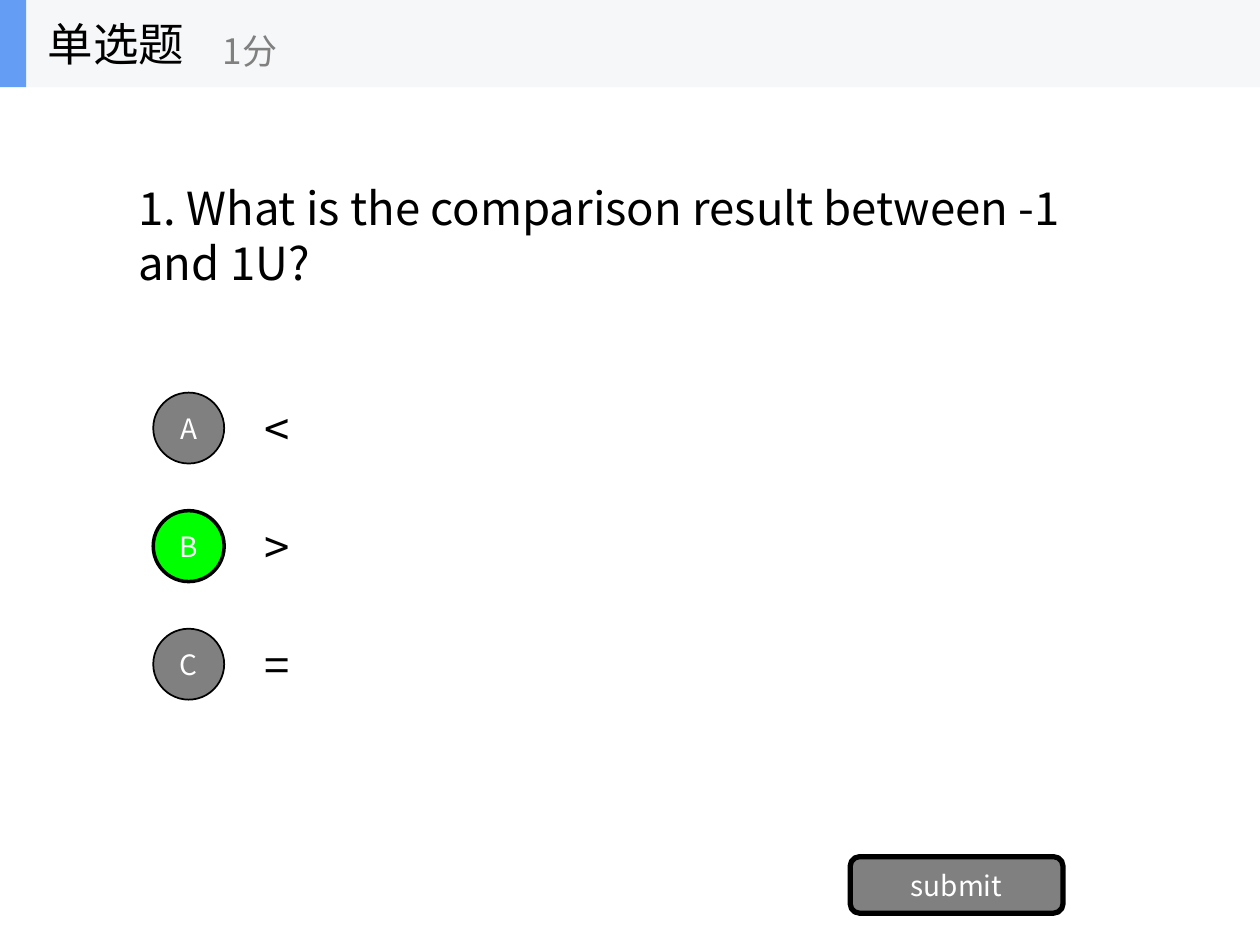
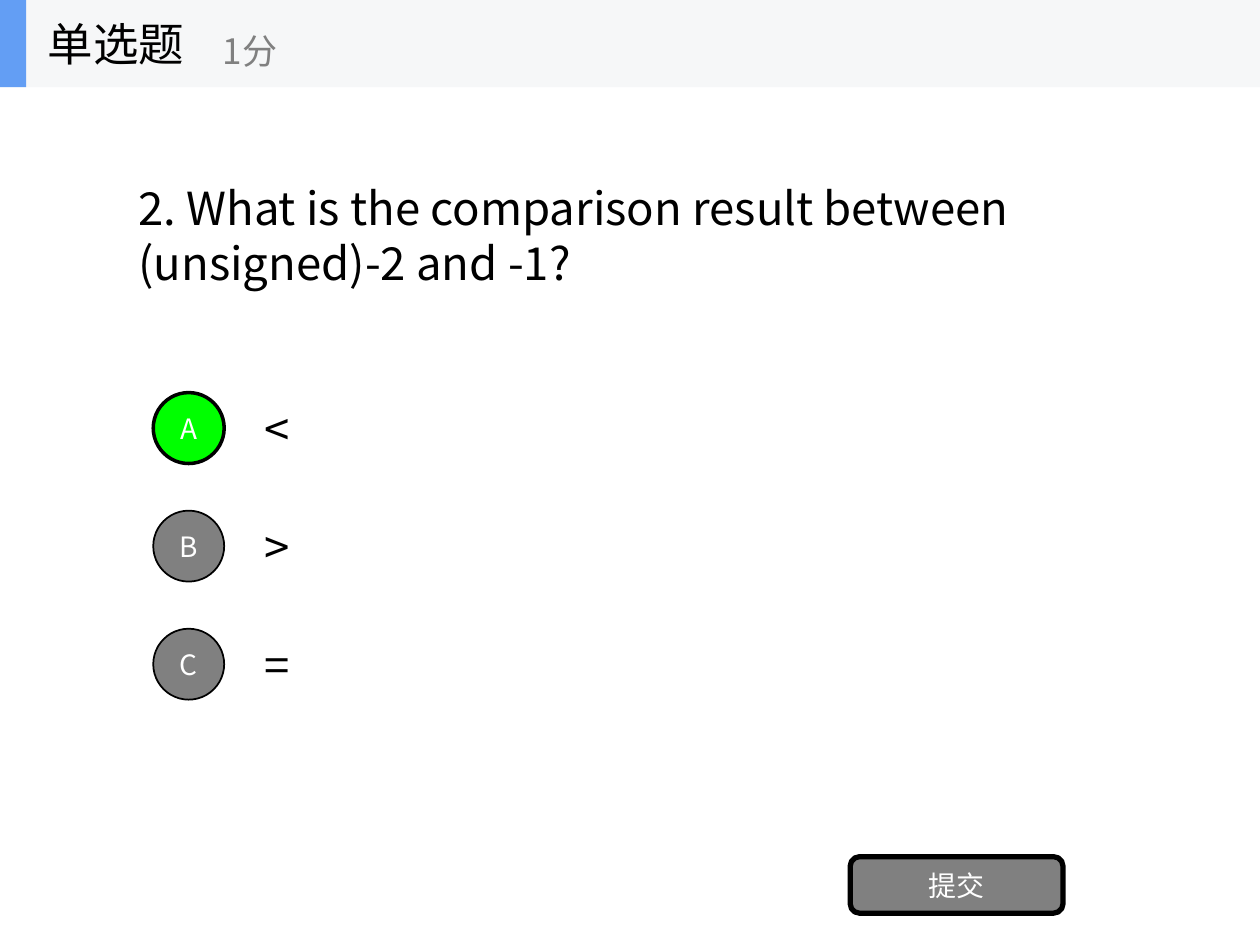
from pptx import Presentation
from pptx.dml.color import RGBColor
from pptx.enum.shapes import MSO_SHAPE as SHAPE
from pptx.enum.text import MSO_ANCHOR as ANCHOR, PP_ALIGN as ALIGN
from pptx.oxml.ns import qn
from pptx.util import Cm, Pt

FONT = "Noto Sans CJK SC"
BLACK = RGBColor(0x00, 0x00, 0x00)
WHITE = RGBColor(0xFF, 0xFF, 0xFF)
GRAY = RGBColor(0x80, 0x80, 0x80)
GREEN = RGBColor(0x00, 0xFF, 0x00)
BAND = RGBColor(0xF6, 0xF7, 0xF8)
BLUE = RGBColor(0x63, 0x9E, 0xF4)

SLIDE_WIDTH = 25.4
BAND_HEIGHT = 1.76
FIRST_ROW, ROW_STEP, ROW_HEIGHT = 7.74, 2.38, 1.78
CIRCLE = 1.43

# Question, choices, correct letter, button label
QUESTIONS = [
    ("1. What is the comparison result between -1 and 1U?", "<>=", "B", "submit"),
    ("2. What is the comparison result between (unsigned)-2 and -1?", "<>=", "A", "提交"),
]


def write(holder, text, size=26, color=BLACK, align=ALIGN.LEFT):
    frame = holder.text_frame
    frame.word_wrap = True
    frame.vertical_anchor = ANCHOR.MIDDLE
    paragraph = frame.paragraphs[0]
    paragraph.alignment = align
    run = paragraph.add_run()
    run.text = text
    run.font.name = FONT
    run.font.size = Pt(size)
    run.font.color.rgb = color
    east_asian = run.font._element.makeelement(qn("a:ea"), {"typeface": FONT})
    run.font._element.find(qn("a:latin")).addnext(east_asian)


def draw(shapes, kind, box, fill, line_width=0):
    shape = shapes.add_shape(kind, *map(Cm, box))
    shape.shadow.inherit = False
    shape.fill.solid()
    shape.fill.fore_color.rgb = fill
    if line_width:
        shape.line.color.rgb = BLACK
        shape.line.width = Pt(line_width)
    else:
        shape.line.fill.background()
    return shape


deck = Presentation()
deck.slide_width, deck.slide_height = Cm(SLIDE_WIDTH), Cm(19.05)

for question, choices, correct, submit_label in QUESTIONS:
    shapes = deck.slides.add_slide(deck.slide_layouts[6]).shapes

    # Question
    prompt = shapes.add_textbox(Cm(2.54), Cm(BAND_HEIGHT), Cm(20.32), Cm(5.95))
    write(prompt, question)

    # Choices, the correct one in green with a heavier outline
    for row, (letter, choice) in enumerate(zip("ABC", choices)):
        top = FIRST_ROW + row * ROW_STEP
        answer = shapes.add_textbox(Cm(5.08), Cm(top), Cm(17.78), Cm(ROW_HEIGHT))
        write(answer, choice)
        fill, line_width = (GREEN, 2) if letter == correct else (GRAY, 1)
        circle_top = top + (ROW_HEIGHT - CIRCLE) / 2
        marker = draw(shapes, SHAPE.OVAL, (3.09, circle_top, CIRCLE, CIRCLE), fill, line_width)
        write(marker, letter, size=16, color=WHITE, align=ALIGN.CENTER)

    # Submit button
    submit = draw(shapes, SHAPE.ROUNDED_RECTANGLE, (17.14, 17.27, 4.29, 1.14), GRAY, 3)
    write(submit, submit_label, size=16, color=WHITE, align=ALIGN.CENTER)

    # Header band with question type and score
    header = shapes.add_group_shape().shapes
    draw(header, SHAPE.RECTANGLE, (0, 0, SLIDE_WIDTH, BAND_HEIGHT), BAND)
    draw(header, SHAPE.RECTANGLE, (0, 0, 0.53, BAND_HEIGHT), BLUE)
    question_type = header.add_textbox(Cm(0.71), 0, Cm(5.28), Cm(BAND_HEIGHT))
    write(question_type, "单选题")
    score = header.add_textbox(Cm(4.24), Cm(0.3), Cm(6.35), Cm(1.43))
    write(score, "1分", size=20, color=GRAY)

deck.save("out.pptx")
